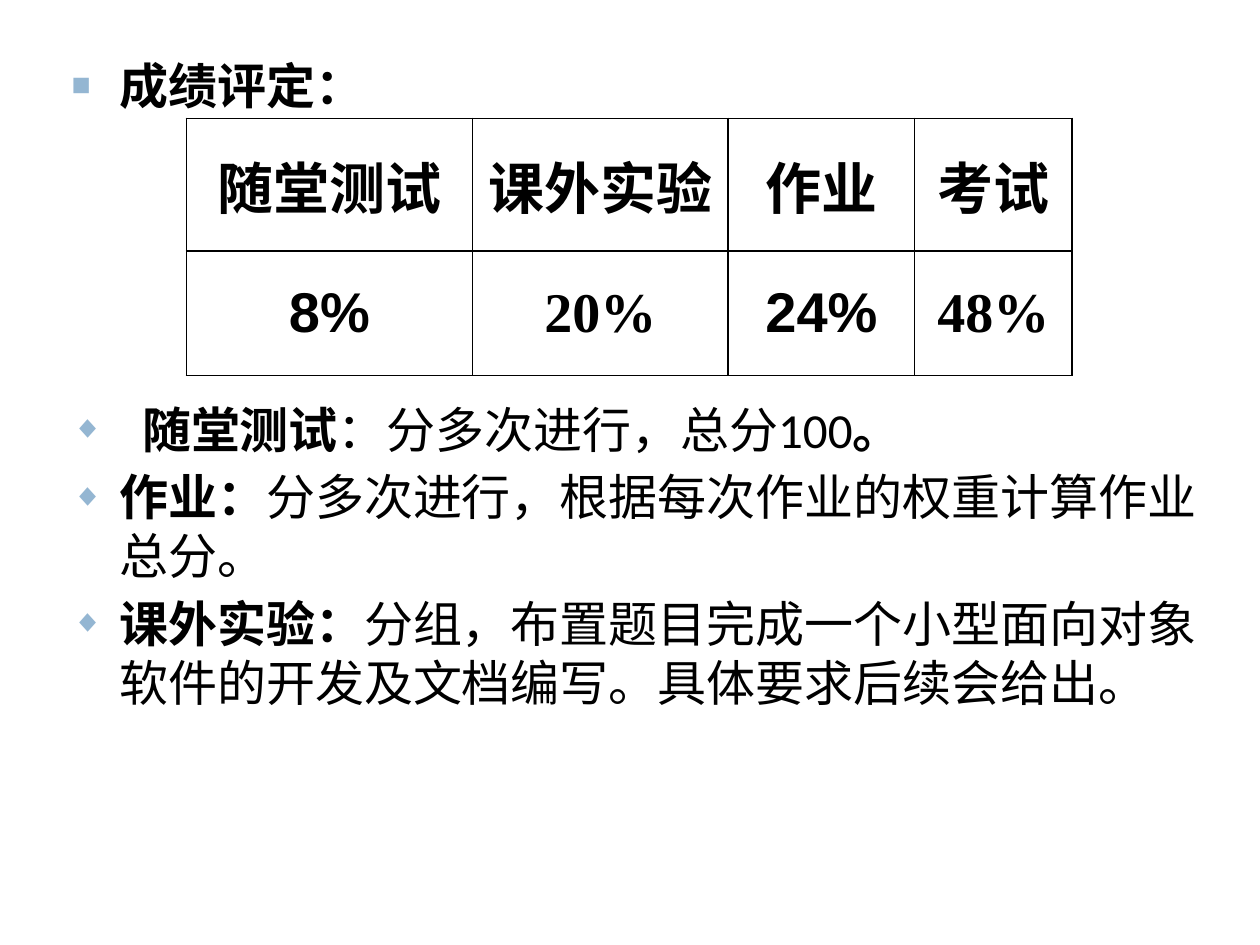
"""Build the course grading slide: a weight table and notes on each component."""
from lxml import etree
from pptx import Presentation, util as u
from pptx.dml.color import RGBColor
from pptx.enum import text
from pptx.oxml import ns

BLACK = RGBColor(0x00, 0x00, 0x00)
BULLET_BLUE = RGBColor(0x94, 0xB6, 0xD2)
LATIN = "Calibri"

NOTES = [
    ("■", 0.38, 0, ["成绩评定："]),
    ("◆", 0.56, 163, ["随堂测试", "：分多次进行，总分100", "。"]),
    ("◆", 0.38, 5, ["作业：", "分多次进行，根据每次作业的权重计算作业总分。"]),
    ("◆", 0.38, 5, ["课外实验：", "分组，布置题目完成一个小型面向对象软件的开发及文档编写。具体要求后续会给出。"]),
]
COLUMN_WIDTHS = [2.27, 2.03, 1.48, 1.25]
ROW_HEIGHTS = [1.05, 0.99]
WEIGHTS = [
    [("随堂测试", "Arial"), ("课外实验", "Arial"), ("作业", "Arial"), ("考试", "Times New Roman")],
    [("8%", "Arial"), ("20%", "Times New Roman"), ("24%", "Arial"), ("48%", "Times New Roman")],
]


def add_bullet(para, mark, indent):
    properties = para._p.get_or_add_pPr()
    properties.set("marL", str(u.Inches(indent)))
    properties.set("indent", str(-u.Inches(indent)))
    color = etree.SubElement(properties, ns.qn("a:buClr"))
    etree.SubElement(color, ns.qn("a:srgbClr"), val=str(BULLET_BLUE))
    etree.SubElement(properties, ns.qn("a:buSzPct"), val="65000")
    etree.SubElement(properties, ns.qn("a:buFont"), typeface="Arial")
    etree.SubElement(properties, ns.qn("a:buChar"), char=mark)


def add_borders(cell):
    properties = cell._tc.get_or_add_tcPr()
    for position, side in enumerate(("lnL", "lnR", "lnT", "lnB")):
        line = etree.Element(ns.qn("a:" + side), w=str(u.Pt(1)))
        fill = etree.SubElement(line, ns.qn("a:solidFill"))
        etree.SubElement(fill, ns.qn("a:srgbClr"), val=str(BLACK))
        properties.insert(position, line)


deck = Presentation()
deck.slide_width, deck.slide_height = u.Inches(10), u.Inches(7.5)
page = deck.slides.add_slide(deck.slide_layouts[6])

box = page.shapes.add_textbox(u.Inches(0.47), u.Inches(0.39), u.Inches(9.15), u.Inches(5.73))
frame = box.text_frame
frame.word_wrap = True
for number, (mark, indent, gap, pieces) in enumerate(NOTES):
    para = frame.paragraphs[0] if number == 0 else frame.add_paragraph()
    add_bullet(para, mark, indent)
    if gap:
        para.space_before = u.Pt(gap)
    for order, piece in enumerate(pieces):
        span = para.add_run()
        span.text = piece
        span.font.name = LATIN
        span.font.size = u.Pt(28)
        span.font.bold = order % 2 == 0
        span.font.color.rgb = BLACK

table = page.shapes.add_table(
    len(ROW_HEIGHTS), len(COLUMN_WIDTHS), u.Inches(1.48), u.Inches(0.94),
    u.Inches(sum(COLUMN_WIDTHS)), u.Inches(sum(ROW_HEIGHTS))).table
for column, width in zip(table.columns, COLUMN_WIDTHS):
    column.width = u.Inches(width)
for row, height, entries in zip(table.rows, ROW_HEIGHTS, WEIGHTS):
    row.height = u.Inches(height)
    for cell, (label, font_name) in zip(row.cells, entries):
        cell.fill.background()
        add_borders(cell)
        cell.vertical_anchor = text.MSO_ANCHOR.MIDDLE
        cell.text_frame.text = label
        para = cell.text_frame.paragraphs[0]
        para.alignment = text.PP_ALIGN.CENTER
        span = para.runs[0]
        span.font.name = font_name
        span.font.size = u.Pt(32)
        span.font.bold = True
        span.font.color.rgb = BLACK

deck.save("out.pptx")
